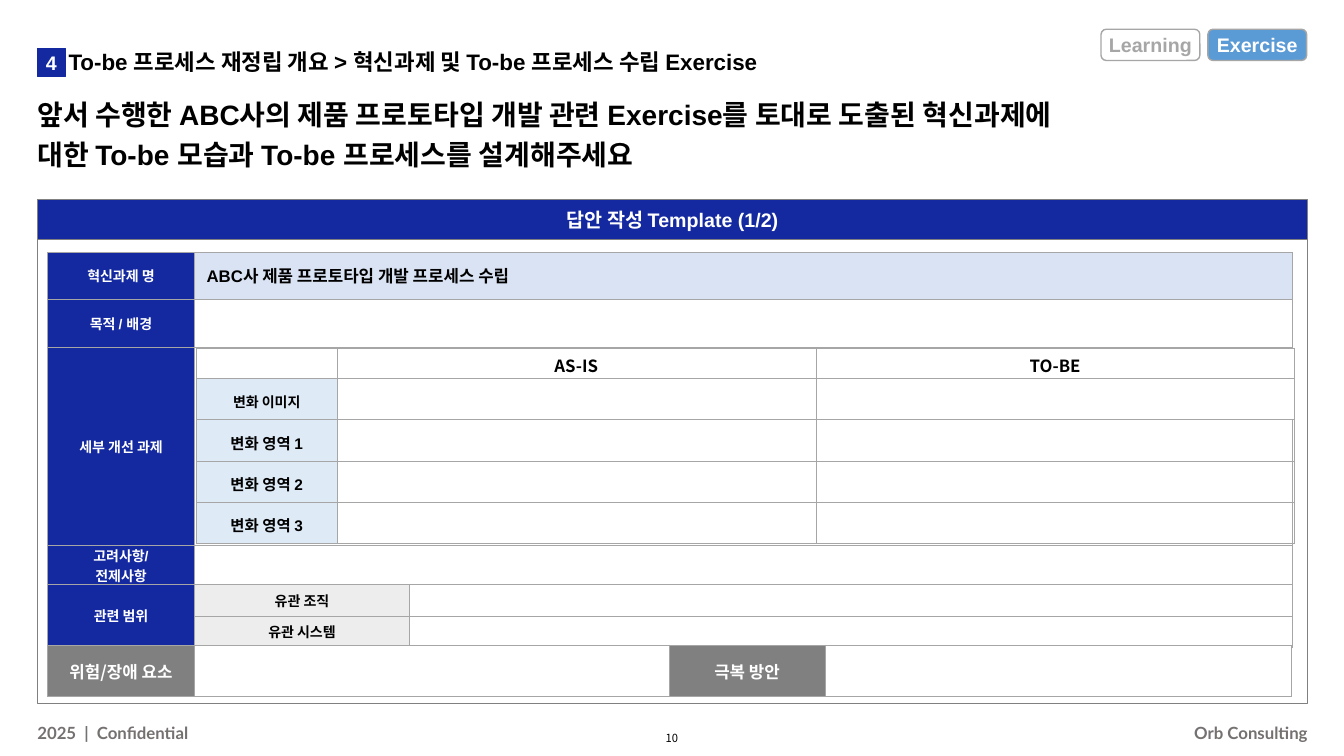
from collections import namedtuple

import pptx
import pptx.dml.color
import pptx.enum.shapes
import pptx.enum.text
import pptx.oxml
import pptx.oxml.ns
import pptx.util

Box = namedtuple("Box", "left top width height")
Cell = namedtuple("Cell", "text fill format", defaults=("", None, {}))
ALIGN = pptx.enum.text.PP_ALIGN
ANCHOR = pptx.enum.text.MSO_ANCHOR
SHAPE = pptx.enum.shapes.MSO_SHAPE
inches = pptx.util.Inches


class Theme:
    navy, sky, grey = "1428A0", "5B9BD5", "808080"
    rule, footer = "A6A6A6", "767171"
    pale, ice, mist = "DAE3F3", "DEEBF7", "EDEDED"
    white, black = "FFFFFF", "000000"
    latin, korean, brand = "Arial", "Noto Sans CJK KR", "Lato"
    headline, trail, label, body, small, cell, page = 20, 16, 14, 12, 11, 10, 8


PAGE = Box(0, 0, 13.33, 7.5)
CONTENT = Box(0.37, 0.29, 12.6, 6.69)


def rgb(value):
    return pptx.dml.color.RGBColor.from_string(value)


def emu(box):
    return [inches(length) for length in box]


def write(frame, text, size=Theme.body, color=Theme.black, font=Theme.latin, bold=True,
          align=ALIGN.CENTER, spacing=None, before=0, after=0, indent=None):
    """Fill a text frame with one paragraph; newlines become line breaks."""
    para = frame.paragraphs[0]
    para.alignment = align
    para.space_before, para.space_after = pptx.util.Pt(before), pptx.util.Pt(after)
    if spacing:
        para.line_spacing = spacing
    if indent:
        properties = para._p.get_or_add_pPr()
        properties.set("marL", str(inches(indent)))
        properties.set("indent", "0")
    for number, line in enumerate(text.split("\n")):
        if number:
            para.add_line_break()
        span = para.add_run()
        span.text = line
        span.font.size, span.font.bold, span.font.name = pptx.util.Pt(size), bold, font
        span.font.color.rgb = rgb(color)
        east_asian = pptx.oxml.parse_xml(
            f'<a:ea {pptx.oxml.ns.nsdecls("a")} typeface="{Theme.korean}"/>')
        span.font._element.append(east_asian)


def set_insets(target, left, top, right, bottom):
    target.margin_left, target.margin_right = inches(left), inches(right)
    target.margin_top, target.margin_bottom = inches(top), inches(bottom)


def add_text(page, box, text, insets=(0, 0.05, 0, 0.05), anchor=ANCHOR.TOP, wrap=True, **format):
    frame = page.shapes.add_textbox(*emu(box)).text_frame
    frame.word_wrap, frame.vertical_anchor = wrap, anchor
    set_insets(frame, *insets)
    write(frame, text, **format)


def add_block(page, box, text="", kind=SHAPE.RECTANGLE, fill=None, line=Theme.grey,
              weight=1, **format):
    block = page.shapes.add_shape(kind, *emu(box))
    block.shadow.inherit = False
    if fill:
        block.fill.solid()
        block.fill.fore_color.rgb = rgb(fill)
    else:
        block.fill.background()
    block.line.color.rgb, block.line.width = rgb(line), pptx.util.Pt(weight)
    if text:
        frame = block.text_frame
        frame.vertical_anchor = ANCHOR.MIDDLE
        set_insets(frame, 0.04, 0.05, 0.04, 0.05)
        write(frame, text, **format)


def add_borders(cell):
    properties = cell._tc.get_or_add_tcPr()
    for number, side in enumerate(("lnL", "lnR", "lnT", "lnB")):
        properties.insert(number, pptx.oxml.parse_xml(
            f'<a:{side} {pptx.oxml.ns.nsdecls("a")} w="3175"><a:solidFill>'
            f'<a:srgbClr val="{Theme.rule}"/></a:solidFill></a:{side}>'))


def add_grid(page, left, top, columns, rows, cells, merges=(), insets=(0.04, 0, 0.04, 0)):
    """Cells lists rows of Cell; merges lists (row, column, last row, last column)."""
    box = Box(left, top, sum(columns), sum(rows))
    table = page.shapes.add_table(len(rows), len(columns), *emu(box)).table
    table.first_row = table.horz_banding = False
    for column, width in zip(table.columns, columns):
        column.width = inches(width)
    for row, height in zip(table.rows, rows):
        row.height = inches(height)
    for row, line in enumerate(cells):
        for column, content in enumerate(line):
            cell = table.cell(row, column)
            cell.vertical_anchor = ANCHOR.MIDDLE
            set_insets(cell, *(insets if content.text else (0, 0, 0, 0)))
            if content.fill:
                cell.fill.solid()
                cell.fill.fore_color.rgb = rgb(content.fill)
            else:
                cell.fill.background()
            add_borders(cell)
            if content.text:
                write(cell.text_frame, content.text, **content.format)
    for row, column, last_row, last_column in merges:
        table.cell(row, column).merge(table.cell(last_row, last_column))


def draw_header(page, box):
    title = page.shapes.title
    title.left, title.top, title.width, title.height = emu(
        Box(box.left, box.top + 0.56, box.width, 0.53))
    frame = title.text_frame
    frame.word_wrap, frame.vertical_anchor = True, ANCHOR.TOP
    frame.auto_size = pptx.enum.text.MSO_AUTO_SIZE.NONE
    set_insets(frame, 0, 0.05, 0.1, 0.05)
    write(frame, "앞서 수행한 ABC사의 제품 프로토타입 개발 관련 Exercise를 토대로 도출된 혁신과제에\n"
          "대한 To-be 모습과 To-be 프로세스를 설계해주세요", size=Theme.headline,
          align=ALIGN.LEFT, spacing=1.2, before=3, after=2)
    add_text(page, Box(box.left, box.top + 0.17, 11.5, 0.34),
             "To-be 프로세스 재정립 개요 > 혁신과제 및 To-be 프로세스 수립 Exercise",
             size=Theme.trail, align=ALIGN.LEFT, spacing=0.9, indent=0.31)
    add_block(page, Box(box.left, box.top + 0.19, 0.28, 0.28), "4", fill=Theme.navy,
              line=Theme.navy, size=Theme.label, color=Theme.white)
    tags = (("Learning", Theme.white, Theme.rule), ("Exercise", Theme.sky, Theme.white))
    for number, (text, fill, color) in enumerate(tags):
        tag = Box(box.left + box.width - 2.05 + 1.06 * number, box.top, 0.98, 0.31)
        add_block(page, tag, text, SHAPE.ROUNDED_RECTANGLE, fill, Theme.rule,
                  size=Theme.label, color=color)


def draw_template(page, box):
    band = 0.39
    add_block(page, box._replace(height=band), "답안 작성 Template (1/2)", fill=Theme.navy,
              weight=0.5, size=Theme.label, color=Theme.white)
    add_block(page, box._replace(top=box.top + band, height=box.height - band), weight=0.5)
    left = box.left + 0.1
    draw_task_table(page, left, box.top + 0.52)
    draw_change_table(page, left + 1.48, box.top + 1.47)
    draw_risk_table(page, left, box.top + 4.42)


def draw_task_table(page, left, top):
    blank = Cell(fill=Theme.white)

    def head(text):
        return Cell(text, Theme.navy, {"size": Theme.cell, "color": Theme.white})

    def scope(text):
        return Cell(text, Theme.mist, {"size": Theme.cell})

    name = Cell("ABC사 제품 프로토타입 개발 프로세스 수립", Theme.pale, {"align": ALIGN.LEFT})
    cells = [
        [head("혁신과제 명"), name, Cell(fill=Theme.pale)],
        [head("목적 / 배경"), blank, blank],
        [head("세부 개선 과제"), blank, blank],
        [head("고려사항/\n전제사항"), blank, blank],
        [head("관련 범위"), scope("유관 조직"), blank],
        [Cell(fill=Theme.navy), scope("유관 시스템"), blank],
    ]
    merges = [(row, 1, row, 2) for row in range(4)] + [(4, 0, 5, 0)]
    add_grid(page, left, top, (1.46, 2.13, 8.76), (0.47, 0.47, 1.97, 0.39, 0.31, 0.31),
             cells, merges, insets=(0.12, 0, 0.12, 0))


def draw_change_table(page, left, top):
    blank = Cell(fill=Theme.white)
    heads = [Cell(text, Theme.white, {"font": Theme.korean}) for text in ("AS-IS", "TO-BE")]
    image = Cell("변화 이미지", Theme.ice, {"size": Theme.cell, "font": Theme.korean})
    areas = [[Cell(f"변화 영역 {number}", Theme.ice, {"size": Theme.small}), Cell(), Cell()]
             for number in (1, 2, 3)]
    add_grid(page, left, top, (1.39, 4.75, 4.75), [0.3] + [0.41] * 4,
             [[blank, *heads], [image, blank, blank], *areas], insets=(0.04, 0.05, 0.04, 0))


def draw_risk_table(page, left, top):
    blank = Cell(fill=Theme.white)
    risk, remedy = [Cell(text, Theme.grey, {"font": Theme.korean, "color": Theme.white})
                    for text in ("위험/장애 요소", "극복 방안")]
    add_grid(page, left, top, (1.46, 4.71, 1.54, 4.63), (0.51,), [[risk, blank, remedy, blank]])


def draw_footer(page, box):
    notes = (("2025  |  Confidential", box.left, ALIGN.LEFT),
             ("Orb Consulting", box.left + box.width - 3.05, ALIGN.RIGHT))
    for text, left, align in notes:
        add_text(page, Box(left, box.top, 3.05, box.height), text, anchor=ANCHOR.MIDDLE,
                 color=Theme.footer, font=Theme.brand, align=align, spacing=1.05, before=10)
    add_text(page, Box(PAGE.width / 2 - 0.12, box.top + 0.08, 0.24, 0.2), "10",
             insets=(0, 0, 0, 0), anchor=ANCHOR.MIDDLE, size=Theme.page,
             font=Theme.korean, bold=False)


def main():
    deck = pptx.Presentation()
    deck.slide_width, deck.slide_height = inches(PAGE.width), inches(PAGE.height)
    page = deck.slides.add_slide(deck.slide_layouts[5])
    draw_header(page, CONTENT)
    draw_template(page, Box(CONTENT.left, 1.98, CONTENT.width, 5))
    draw_footer(page, Box(CONTENT.left, 7.14, CONTENT.width, 0.24))
    deck.save("out.pptx")


if __name__ == "__main__":
    main()
